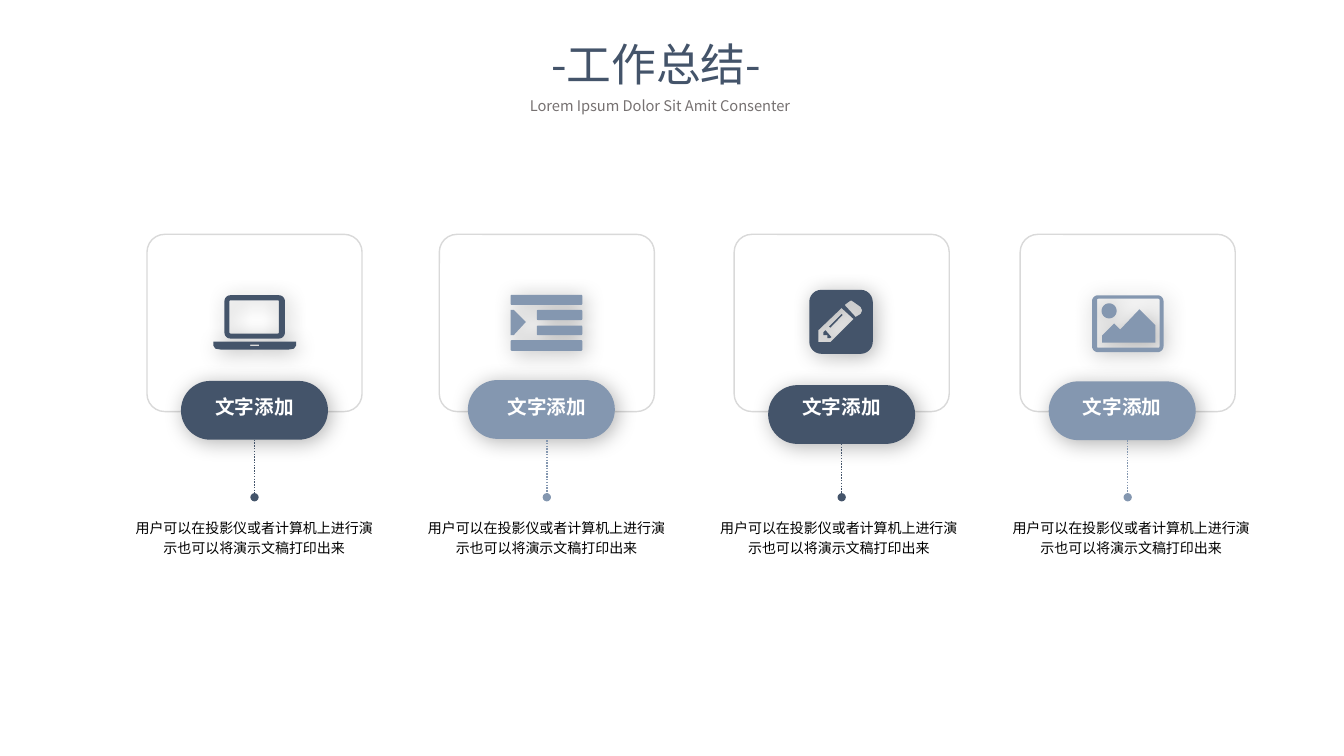
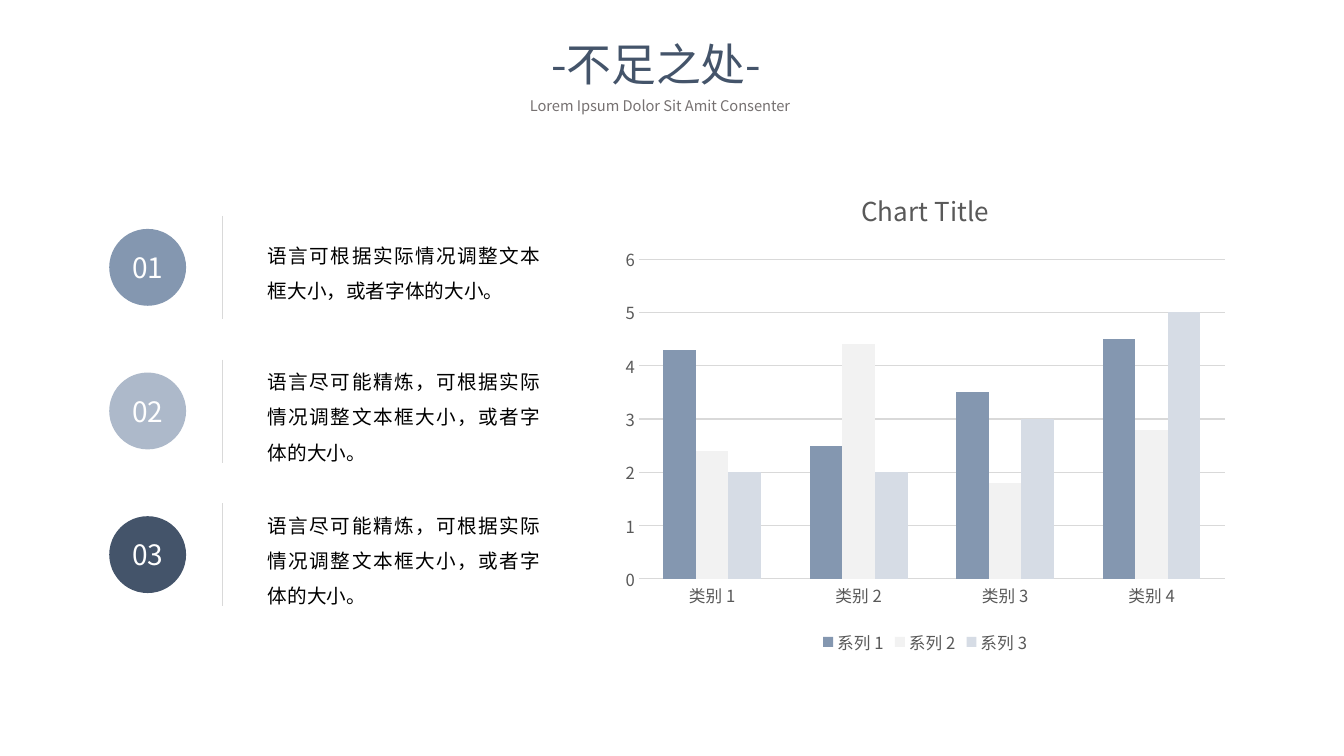
from math import cos, pi, sin

from lxml import etree
from pptx import Presentation
from pptx.chart.data import CategoryChartData
from pptx.dml.color import RGBColor
from pptx.enum.chart import XL_CHART_TYPE, XL_LEGEND_POSITION, XL_TICK_MARK
from pptx.enum.dml import MSO_LINE
from pptx.enum.shapes import MSO_CONNECTOR, MSO_SHAPE
from pptx.enum.text import MSO_ANCHOR, MSO_AUTO_SIZE, PP_ALIGN
from pptx.oxml.ns import qn
from pptx.util import Inches, Pt

CLUSTERED = XL_CHART_TYPE.COLUMN_CLUSTERED
LEGEND_BOTTOM, NO_TICKS = XL_LEGEND_POSITION.BOTTOM, XL_TICK_MARK.NONE
DOTTED, STRAIGHT = MSO_LINE.ROUND_DOT, MSO_CONNECTOR.STRAIGHT
ROUNDED, OVAL = MSO_SHAPE.ROUNDED_RECTANGLE, MSO_SHAPE.OVAL
TOP, MIDDLE, NO_FIT = MSO_ANCHOR.TOP, MSO_ANCHOR.MIDDLE, MSO_AUTO_SIZE.NONE
LEFT, CENTER, JUSTIFY = PP_ALIGN.LEFT, PP_ALIGN.CENTER, PP_ALIGN.JUSTIFY

FONT = "Noto Sans CJK SC"
COLORS = {
    "dark": "44546A", "blue": "8497B0", "pale": "ADB9CA", "mist": "D6DCE5",
    "fog": "F2F2F2", "rule": "D9D9D9", "grey": "767171", "axis": "595959",
    "black": "000000", "white": "FFFFFF",
}
CELL = Inches(1) / 12  # the slide is a grid of 160 columns by 90 rows
ICON_UNIT = Inches(1) / 100


def cells(*counts):
    return [round(count * CELL) for count in counts]


def rgb(color):
    return RGBColor.from_string(COLORS[color])


def rounded(left, top, right, bottom, radius, steps=6):
    """Outline of a rectangle with rounded corners, in icon units."""
    centers = ((right - radius, bottom - radius), (left + radius, bottom - radius),
               (left + radius, top + radius), (right - radius, top + radius))
    return [(x + radius * cos(angle), y + radius * sin(angle))
            for corner, (x, y) in enumerate(centers)
            for angle in (pi / 2 * (corner + step / steps) for step in range(steps + 1))]


class Deck:
    """Holds the shared style and the slide being drawn."""

    def __init__(self):
        self.presentation = Presentation()
        self.presentation.slide_width, self.presentation.slide_height = cells(160, 90)
        self.slide = None

    def font(self, font, size, color, bold=False):
        font.name, font.size, font.bold = FONT, Pt(size), bold
        font.color.rgb = rgb(color)
        etree.SubElement(font._rPr, qn("a:ea"), typeface=FONT)

    def set_text(self, shape, text, size, color, align=LEFT, spacing=1, bold=False, anchor=TOP):
        frame = shape.text_frame
        frame.text = text
        frame.word_wrap, frame.auto_size, frame.vertical_anchor = True, NO_FIT, anchor
        frame.margin_left = frame.margin_right = Inches(0.1)
        frame.margin_top = frame.margin_bottom = Inches(0.05)
        paragraph = frame.paragraphs[0]
        paragraph.alignment, paragraph.line_spacing = align, spacing
        for run in paragraph.runs:
            self.font(run.font, size, color, bold)

    def new_slide(self, title):
        layout = self.presentation.slide_layouts[5]
        self.slide = self.presentation.slides.add_slide(layout)
        heading = self.slide.shapes.title
        heading.left, heading.top, heading.width, heading.height = cells(64.4, 3.8, 31.1, 7.3)
        self.set_text(heading, title, 32, "dark")
        self.text((61.9, 10.9, 36.1, 3.4), "Lorem Ipsum Dolor Sit Amit Consenter", 10.5, "grey")

    def text(self, box, text, size, color, **style):
        shape = self.slide.shapes.add_textbox(*cells(*box))
        self.set_text(shape, text, size, color, **style)

    def paint(self, shape, fill=None, line=None, shadow=False):
        shape.shadow.inherit = False
        if fill:
            shape.fill.solid()
            shape.fill.fore_color.rgb = rgb(fill)
        else:
            shape.fill.background()
        if line:
            shape.line.color.rgb, shape.line.width = rgb(line), Pt(1)
        else:
            shape.line.fill.background()
        if shadow:
            effects = shape._element.spPr.find(qn("a:effectLst"))
            outer = etree.SubElement(effects, qn("a:outerShdw"), blurRad=str(Pt(15)),
                                     dist=str(Pt(3)), dir="2700000", algn="tl", rotWithShape="0")
            tint = etree.SubElement(outer, qn("a:srgbClr"), val=COLORS["black"])
            etree.SubElement(tint, qn("a:alpha"), val="30000")

    def shape(self, kind, box, corner=None, **style):
        shape = self.slide.shapes.add_shape(kind, *cells(*box))
        if corner is not None:
            shape.adjustments[0] = corner
        self.paint(shape, **style)
        return shape

    def icon(self, left, top, outlines, color):
        # Vertices are whole numbers, so they are stored in hundredths of a unit
        builder = None
        for outline in outlines:
            points = [(x * 100, y * 100) for x, y in outline]
            if builder is None:
                builder = self.slide.shapes.build_freeform(*points[0], scale=ICON_UNIT / 100)
            else:
                builder.move_to(*points[0])
            builder.add_line_segments(points[1:], close=True)
        self.paint(builder.convert_to_shape(*cells(left, top)), fill=color, shadow=True)

    def vertical(self, x, top, bottom, color, width, pin=False):
        line = self.slide.shapes.add_connector(STRAIGHT, *cells(x, top, x, bottom))
        line.line.color.rgb, line.line.width = rgb(color), Pt(width)
        if pin:
            line.line.dash_style = DOTTED
            outline = line._element.spPr.find(qn("a:ln"))
            etree.SubElement(outline, qn("a:tailEnd"), type="oval")
        etree.SubElement(line._element.spPr, qn("a:effectLst"))
        return line

    def column_chart(self, box, title, categories, series):
        data = CategoryChartData()
        data.categories = categories
        for name, values, _ in series:
            data.add_series(name, values)
        chart = self.slide.shapes.add_chart(CLUSTERED, *cells(*box), data).chart
        self.font(chart.font, 11.9, "axis")
        chart.has_title = True
        chart.chart_title.text_frame.text = title
        self.font(chart.chart_title.text_frame.paragraphs[0].runs[0].font, 18.6, "axis")
        chart.has_legend = True
        chart.legend.position, chart.legend.include_in_layout = LEGEND_BOTTOM, False
        self.font(chart.legend.font, 11.9, "axis")
        # Axes
        for axis in (chart.category_axis, chart.value_axis):
            axis.major_tick_mark = axis.minor_tick_mark = NO_TICKS
            self.font(axis.tick_labels.font, 11.9, "axis")
        values_axis = chart.value_axis
        values_axis.minimum_scale, values_axis.maximum_scale, values_axis.major_unit = 0, 6, 1
        values_axis.format.line.fill.background()
        for line in (values_axis.major_gridlines.format.line, chart.category_axis.format.line):
            line.color.rgb, line.width = rgb("rule"), Pt(0.75)
        # Columns
        plot = chart.plots[0]
        plot.gap_width, plot.overlap, plot.vary_by_categories = 150, 0, False
        for bars, (_, _, color) in zip(plot.series, series):
            bars.format.fill.solid()
            bars.format.fill.fore_color.rgb = rgb(color)


# Icon outlines, in hundredths of an inch
LAPTOP = [
    rounded(11, 0, 71, 43, 6), rounded(16, 5, 65, 38, 1),
    [(0, 46), (82, 46), (82, 50), (80, 53), (74, 54), (8, 54), (2, 53), (0, 50)],
    rounded(36.5, 49, 45.5, 50.5, 0.5),
]
INDENT = [
    rounded(0, 0, 71, 10, 1), rounded(0, 45, 71, 55.5, 1),
    rounded(26, 15, 71, 25, 1), rounded(26, 30.5, 71, 40, 1),
    [(0, 15), (3, 15), (15, 27), (3, 40), (0, 40)],
]
PENCIL = [
    rounded(0, 0, 63, 63.5, 12),
    [(44, 29), (32, 18), (9, 40), (9, 52), (21, 52)],
    [(22, 47), (20, 48), (18, 48), (18, 45), (14, 45), (14, 42), (16, 40)],
    [(33, 25), (21, 37.5), (19.5, 36.5), (32, 24)],
    [(51, 24), (52.5, 20.5), (51, 17), (44, 12), (41.5, 10.5), (39, 12), (35, 15), (46, 27)],
]
LANDSCAPE = [
    rounded(0, 0, 71, 56.5, 6), rounded(5, 3.5, 67, 52, 1), rounded(9.5, 8, 24.5, 23, 7.5),
    [(63, 47), (10, 47), (10, 40), (22, 28), (28, 34), (47, 14), (63, 30)],
]

# Frame left, pill shift and top, label shift, icon left and top, outlines, colour
CARDS = [
    (17.5, 0, 45.35, 0, 25.4, 35.15, LAPTOP, "dark"),
    (52.3, -0.65, 45.25, 0, 60.8, 35.1, INDENT, "blue"),
    (87.4, 0, 45.85, 0, 96.35, 34.5, PENCIL, "dark"),
    (121.45, -0.65, 45.4, -0.65, 130, 35.15, LANDSCAPE, "blue"),
]
FRAME_WIDTH, FRAME_HEIGHT = 25.6, 21.1
PILL_WIDTH, PILL_HEIGHT = 17.5, 7

NOTE = "语言尽可能精炼，可根据实际情况调整文本框大小，或者字体的大小。"
POINTS = [
    ("01", "语言可根据实际情况调整文本框大小，或者字体的大小。", "blue"),
    ("02", NOTE, "pale"),
    ("03", NOTE, "dark"),
]
SERIES = [
    ("系列 1", (4.3, 2.5, 3.5, 4.5), "blue"),
    ("系列 2", (2.4, 4.4, 1.8, 2.8), "fog"),
    ("系列 3", (2, 2, 3, 5), "mist"),
]


def summary_slide(deck):
    deck.new_slide("-工作总结-")
    for index, card in enumerate(CARDS):
        left, pill_shift, pill_top, label_shift, icon_left, icon_top, outlines, color = card
        center = left + FRAME_WIDTH / 2
        pill_left = center - PILL_WIDTH / 2
        deck.shape(ROUNDED, (left, 27.9, FRAME_WIDTH, FRAME_HEIGHT), 0.1, line="rule")
        pill = deck.shape(ROUNDED, (pill_left + pill_shift, pill_top, PILL_WIDTH, PILL_HEIGHT),
                          0.5, fill=color, shadow=True)
        pin = deck.vertical(center, 52.4, 59.2, color, 1, pin=True)
        if not pill_shift:
            pin.begin_connect(pill, 2)
        deck.icon(icon_left, icon_top, outlines, color)
        deck.text((pill_left + label_shift, 45.9, PILL_WIDTH, 4.3), "文字添加", 14, "white",
                  align=CENTER, spacing=1.2, bold=True)
        deck.text((14.6 + 34.8 * index, 60.8, 31.3, 5.9),
                  "用户可以在投影仪或者计算机上进行演示也可以将演示文稿打印出来", 10, "black",
                  align=CENTER, spacing=1.2)


def shortcomings_slide(deck):
    deck.new_slide("-不足之处-")
    deck.column_chart((73, 20, 74.3, 58.4), "Chart Title",
                      [f"类别 {number}" for number in range(1, 5)], SERIES)
    for index, (number, text, color) in enumerate(POINTS):
        top = 25.7 + 17.1 * index
        deck.text((30.7, top - 0.6, 34.8, 13.5), text, 14, "black",
                  align=JUSTIFY, spacing=1.5, anchor=MIDDLE)
        circle = deck.shape(OVAL, (13, top + 1.55, 9.15, 9.15), fill=color)
        deck.set_text(circle, number, 20, "white", align=CENTER, anchor=MIDDLE)
        deck.vertical(26.45, top, top + 12.3, "rule", 0.5)


def main():
    deck = Deck()
    summary_slide(deck)
    shortcomings_slide(deck)
    deck.presentation.save("out.pptx")


if __name__ == "__main__":
    main()
